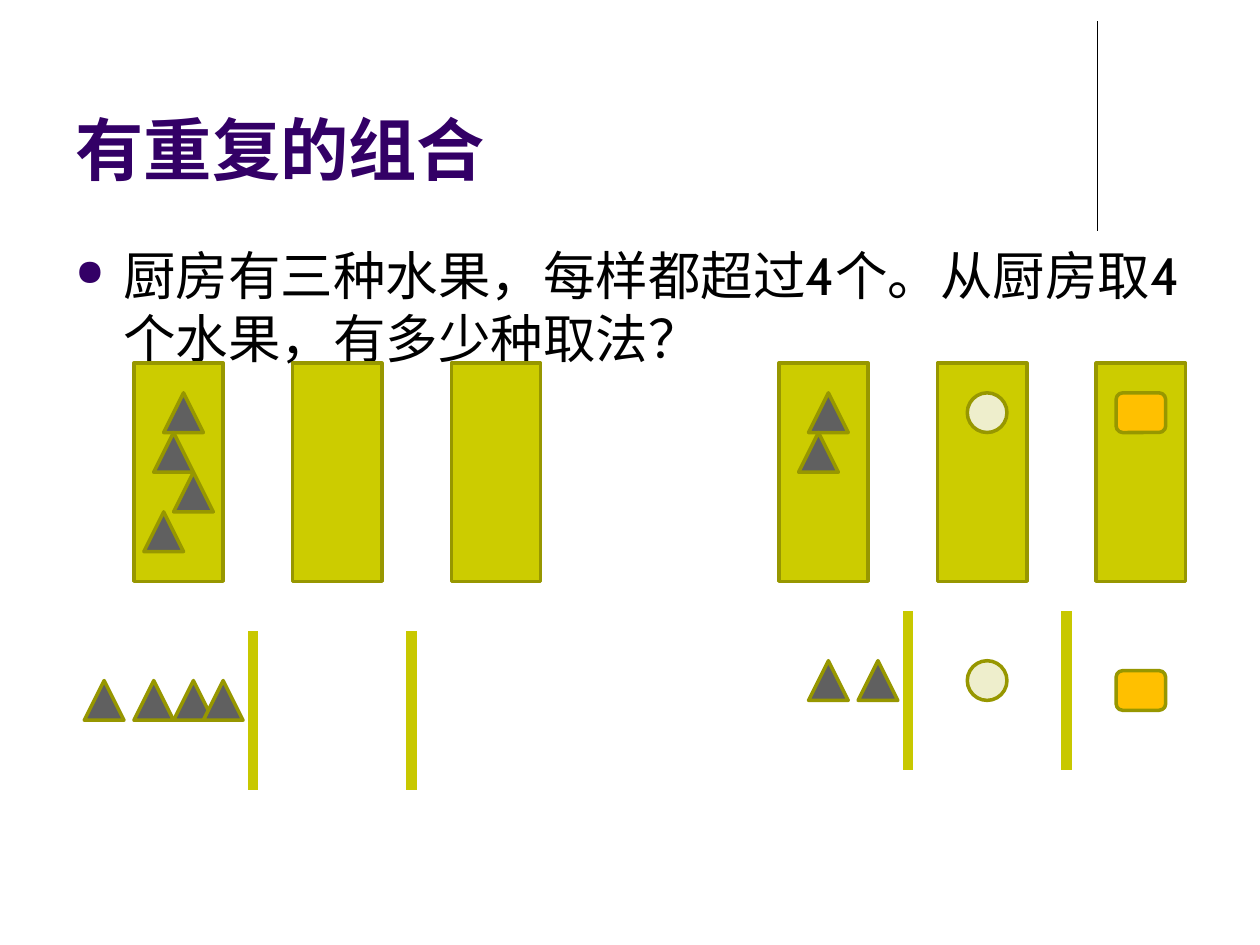
from lxml import etree
from pptx import Presentation
from pptx.dml.color import RGBColor
from pptx.enum.shapes import MSO_CONNECTOR as Connector, MSO_SHAPE as Shape
from pptx.enum.text import MSO_ANCHOR as Anchor, PP_ALIGN as Align
from pptx.oxml import parse_xml
from pptx.oxml.ns import nsdecls, qn
from pptx.util import Inches, Pt

PURPLE = RGBColor(0x33, 0x00, 0x66)
BLACK = RGBColor(0x00, 0x00, 0x00)
OLIVE = RGBColor(0xCC, 0xCC, 0x00)
OUTLINE = RGBColor(0x97, 0x97, 0x00)
DIVIDER = RGBColor(0xC8, 0xC8, 0x00)
GRAY = RGBColor(0x60, 0x60, 0x60)
CREAM = RGBColor(0xEE, 0xEE, 0xCC)
ORANGE = RGBColor(0xFF, 0xC0, 0x00)

# Each fruit: preset shape, fill, width in columns
TRIANGLE = (Shape.ISOSCELES_TRIANGLE, GRAY, 4)
CIRCLE = (Shape.OVAL, CREAM, 4)
BLOCK = (Shape.ROUNDED_RECTANGLE, ORANGE, 5)

BIN_STEP = 16


class FruitSlide:
    """Draws on a grid of 2 mm cells."""

    FONT = "Cabin"
    CELL = 10 / 127
    LEFT, TOP = 0.5, 0.6  # grid origin, in cells

    def __init__(self, presentation):
        self.slide = presentation.slides.add_slide(presentation.slide_layouts[5])

    def x(self, column):
        return Inches((column + self.LEFT) * self.CELL)

    def y(self, row):
        return Inches((row + self.TOP) * self.CELL)

    def size(self, cells):
        return Inches(cells * self.CELL)

    def style(self, paragraph, size, color, bold=False):
        paragraph.alignment = Align.LEFT
        font = paragraph.font
        font.name, font.size, font.bold = self.FONT, Pt(size), bold
        font.color.rgb = color

    def title(self, text):
        title = self.slide.shapes.title
        title.left, title.top = Inches(0.5), Inches(0.13)
        title.width, title.height = Inches(8.25), Inches(1.42)
        frame = title.text_frame
        frame.text = text
        frame.vertical_anchor = Anchor.BOTTOM
        self.style(frame.paragraphs[0], 39, PURPLE, bold=True)

    def bullet(self, text):
        box = self.slide.shapes.add_textbox(
            Inches(0.5), Inches(1.88), Inches(9), Inches(4.82))
        frame = box.text_frame
        frame.word_wrap = True
        frame.text = text
        paragraph = frame.paragraphs[0]
        properties = paragraph._p.get_or_add_pPr()
        properties.set("marL", str(Inches(0.38)))
        properties.set("indent", str(-Inches(0.38)))
        for xml in (
            f'<a:buClr {nsdecls("a")}><a:srgbClr val="{PURPLE}"/></a:buClr>',
            f'<a:buSzPct {nsdecls("a")} val="70000"/>',
            f'<a:buChar {nsdecls("a")} char="●"/>',
        ):
            properties.append(parse_xml(xml))
        self.style(paragraph, 30, BLACK)

    def line(self, column, row, length, color, weight):
        connector = self.slide.shapes.add_connector(
            Connector.STRAIGHT, self.x(column), self.y(row),
            self.x(column), self.y(row + length))
        connector.line.color.rgb = color
        connector.line.width = Pt(weight)
        etree.SubElement(connector._element.spPr, qn("a:effectLst"))

    def shape(self, kind, fill, column, row, width, height):
        shape = self.slide.shapes.add_shape(
            kind, self.x(column), self.y(row), self.size(width), self.size(height))
        shape.shadow.inherit = False
        shape.fill.solid()
        shape.fill.fore_color.rgb = fill
        shape.line.color.rgb = OUTLINE
        shape.line.width = Pt(2)

    def bins(self, column):
        for index in range(3):
            self.shape(Shape.RECTANGLE, OLIVE, column + index * BIN_STEP, 36, 9, 22)

    def fruit(self, fruit, column, row):
        kind, fill, width = fruit
        self.shape(kind, fill, column, row, width, 4)

    def dividers(self, column, row):
        for index in range(2):
            self.line(column + index * BIN_STEP, row, 16, DIVIDER, 6)


def main():
    presentation = Presentation()
    presentation.slide_width, presentation.slide_height = Inches(10), Inches(7.5)
    page = FruitSlide(presentation)

    # Heading, rule and question
    page.line(110.12, 1.56, 21.08, BLACK, 0.75)
    page.title("有重复的组合")
    page.bullet("厨房有三种水果，每样都超过4个。从厨房取4个水果，有多少种取法？")

    # Left choice: four of one kind
    page.bins(13)
    for index, column in enumerate((16, 15, 17, 14)):
        page.fruit(TRIANGLE, column, 39 + 4 * index)
    page.dividers(25, 63)
    for column in (8, 13, 17, 20):
        page.fruit(TRIANGLE, column, 68)

    # Right choice: two, one and one
    page.bins(78)
    page.dividers(91, 61)
    for fruit, column, row in (
        (TRIANGLE, 81, 39), (TRIANGLE, 80, 43), (CIRCLE, 97, 39), (BLOCK, 112, 39),
        (TRIANGLE, 86, 66), (TRIANGLE, 81, 66), (CIRCLE, 97, 66), (BLOCK, 112, 67),
    ):
        page.fruit(fruit, column, row)

    presentation.save("out.pptx")


if __name__ == "__main__":
    main()
